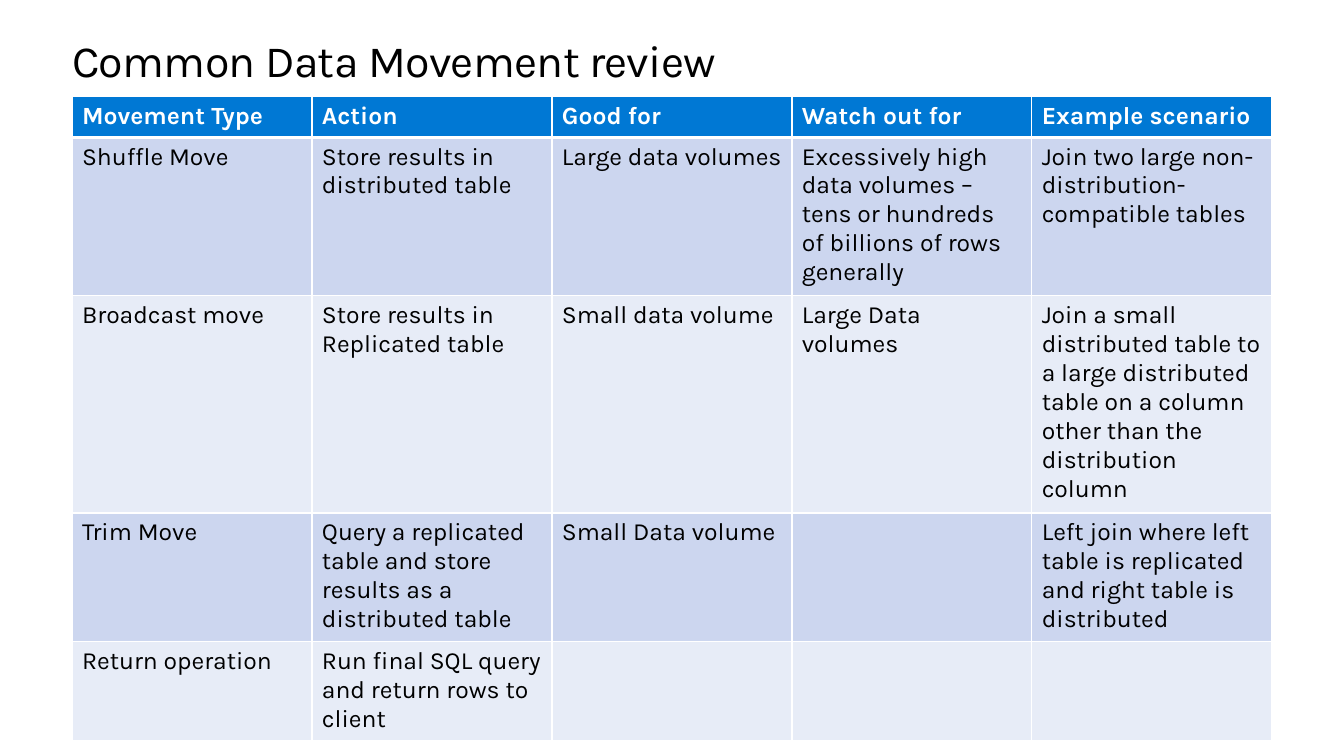
from lxml import etree
from pptx import Presentation
from pptx import util as u
from pptx.dml.color import RGBColor
from pptx.enum import text
from pptx.oxml import ns

WHITE = RGBColor(0xFF, 0xFF, 0xFF)
BLACK = RGBColor(0, 0, 0)
HEADER_BLUE = RGBColor(0x00, 0x78, 0xD4)
BANDS = [RGBColor(0xE7, 0xEC, 0xF7), RGBColor(0xCC, 0xD6, 0xEF)]
FONT = "Karla"

WIDTH, HEIGHT = u.Inches(13.6), u.Inches(7.65)
MARGIN, CONTENT_WIDTH = u.Inches(0.73), u.Inches(12.14)
TITLE_BOX = (MARGIN, u.Inches(0.36), CONTENT_WIDTH, u.Inches(0.51))
TABLE_TOP = u.Inches(0.98)
HEADER_HEIGHT = u.Inches(0.41)
LINE_HEIGHT, CELL_PADDING = u.Inches(0.29), u.Inches(0.1)

MOVEMENTS = [
    ["Movement Type", "Action", "Good for", "Watch out for", "Example scenario"],
    ["Shuffle Move", "Store results in distributed table", "Large data volumes",
     "Excessively high data volumes – tens or hundreds of billions of rows generally",
     "Join two large non-distribution-compatible tables"],
    ["Broadcast move", "Store results in Replicated table", "Small data volume",
     "Large Data volumes",
     "Join a small distributed table to a large distributed table on a column "
     "other than the distribution column"],
    ["Trim Move", "Query a replicated table and store results as a distributed table",
     "Small Data volume", "",
     "Left join where left table is replicated and right table is distributed"],
    ["Return operation", "Run final SQL query and return rows to client", "", "", ""],
]
BODY_LINES = [5, 7, 4, 3]


def add_text(para, words, size, color, bold=False):
    span = para.add_run()
    span.text = words
    span.font.name = FONT
    span.font.size = u.Pt(size)
    span.font.bold = bold
    span.font.color.rgb = color
    return span


def add_title(page, box):
    title = page.shapes.title
    title.left, title.top, title.width, title.height = box
    title.fill.solid()
    title.fill.fore_color.rgb = WHITE
    frame = title.text_frame
    frame.margin_left = frame.margin_right = frame.margin_top = frame.margin_bottom = 0
    frame.vertical_anchor = text.MSO_ANCHOR.TOP
    frame.auto_size = text.MSO_AUTO_SIZE.SHAPE_TO_FIT_TEXT
    para = frame.paragraphs[0]
    para.alignment = text.PP_ALIGN.LEFT
    para.line_spacing = u.Pt(36.9)
    span = add_text(para, "Common Data Movement review", 32.6, BLACK)
    span.font._element.set("spc", "-50")


def set_borders(cell, top, bottom):
    """Draw white borders, one point wide at the sides."""
    properties = cell._tc.get_or_add_tcPr()
    for side, points in (("L", 1), ("R", 1), ("T", top), ("B", bottom)):
        line = etree.SubElement(properties, ns.qn(f"a:ln{side}"), w=str(u.Pt(points)))
        fill = etree.SubElement(line, ns.qn("a:solidFill"))
        etree.SubElement(fill, ns.qn("a:srgbClr"), val=str(WHITE))


def format_cell(cell, words, row):
    header = row == 0
    set_borders(cell, top=3 if row == 1 else 1, bottom=3 if header else 1)
    cell.fill.solid()
    cell.fill.fore_color.rgb = HEADER_BLUE if header else BANDS[row % 2]
    para = cell.text_frame.paragraphs[0]
    para.font.size = u.Pt(18)
    if words:
        add_text(para, words, 18, WHITE if header else BLACK, header)


def add_movement_table(page, left, top, width):
    heights = [HEADER_HEIGHT] + [n * LINE_HEIGHT + CELL_PADDING for n in BODY_LINES]
    columns = len(MOVEMENTS[0])
    table = page.shapes.add_table(len(MOVEMENTS), columns, left, top, width, sum(heights)).table
    table.horz_banding = False
    for column in table.columns:
        column.width = width // columns
    for row, (height, entries) in enumerate(zip(heights, MOVEMENTS)):
        table.rows[row].height = height
        for column, words in enumerate(entries):
            format_cell(table.cell(row, column), words, row)


def main():
    deck = Presentation()
    deck.slide_width, deck.slide_height = WIDTH, HEIGHT
    page = deck.slides.add_slide(deck.slide_layouts.get_by_name("Title Only"))
    add_title(page, TITLE_BOX)
    add_movement_table(page, MARGIN, TABLE_TOP, CONTENT_WIDTH)
    deck.save("out.pptx")


if __name__ == "__main__":
    main()
